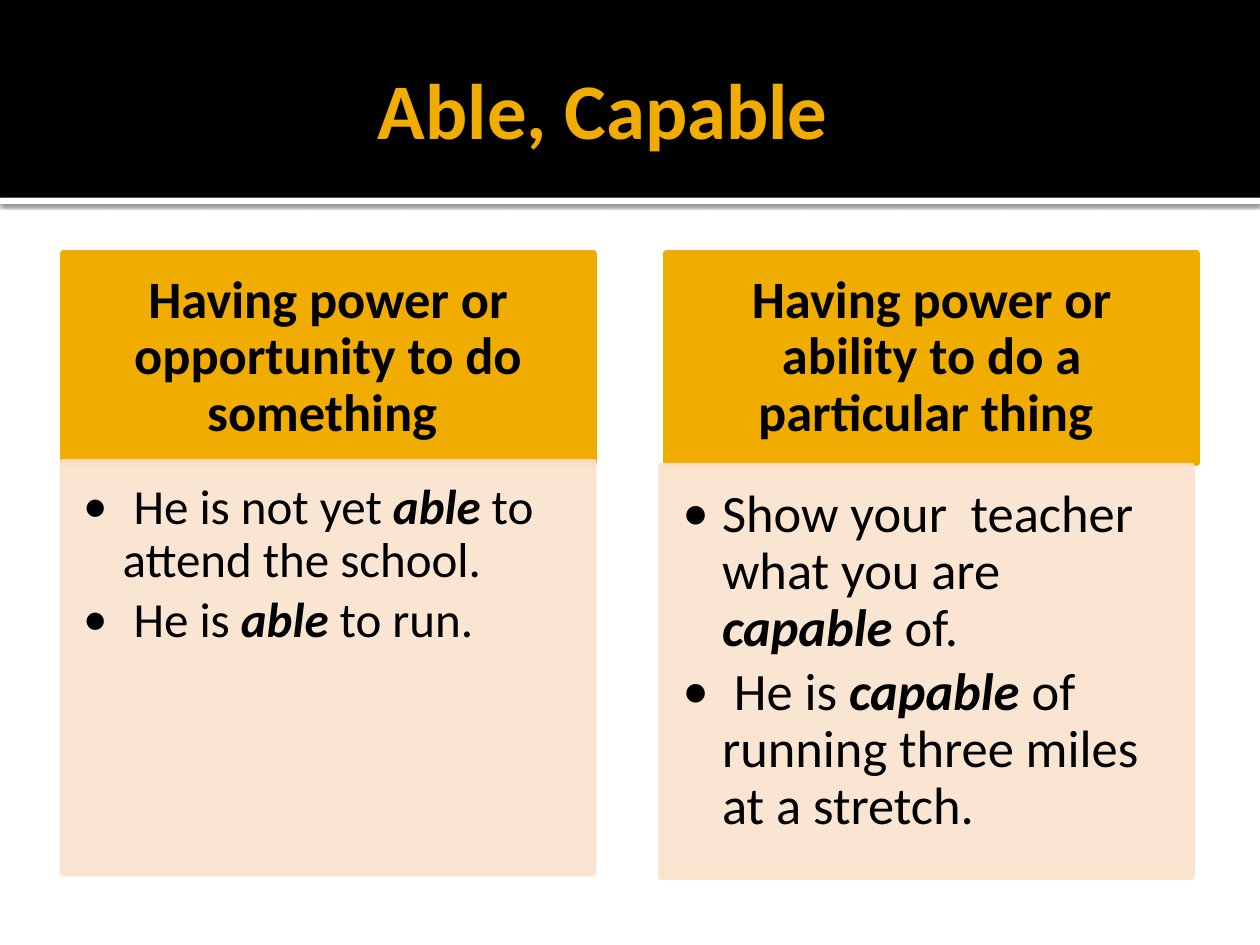
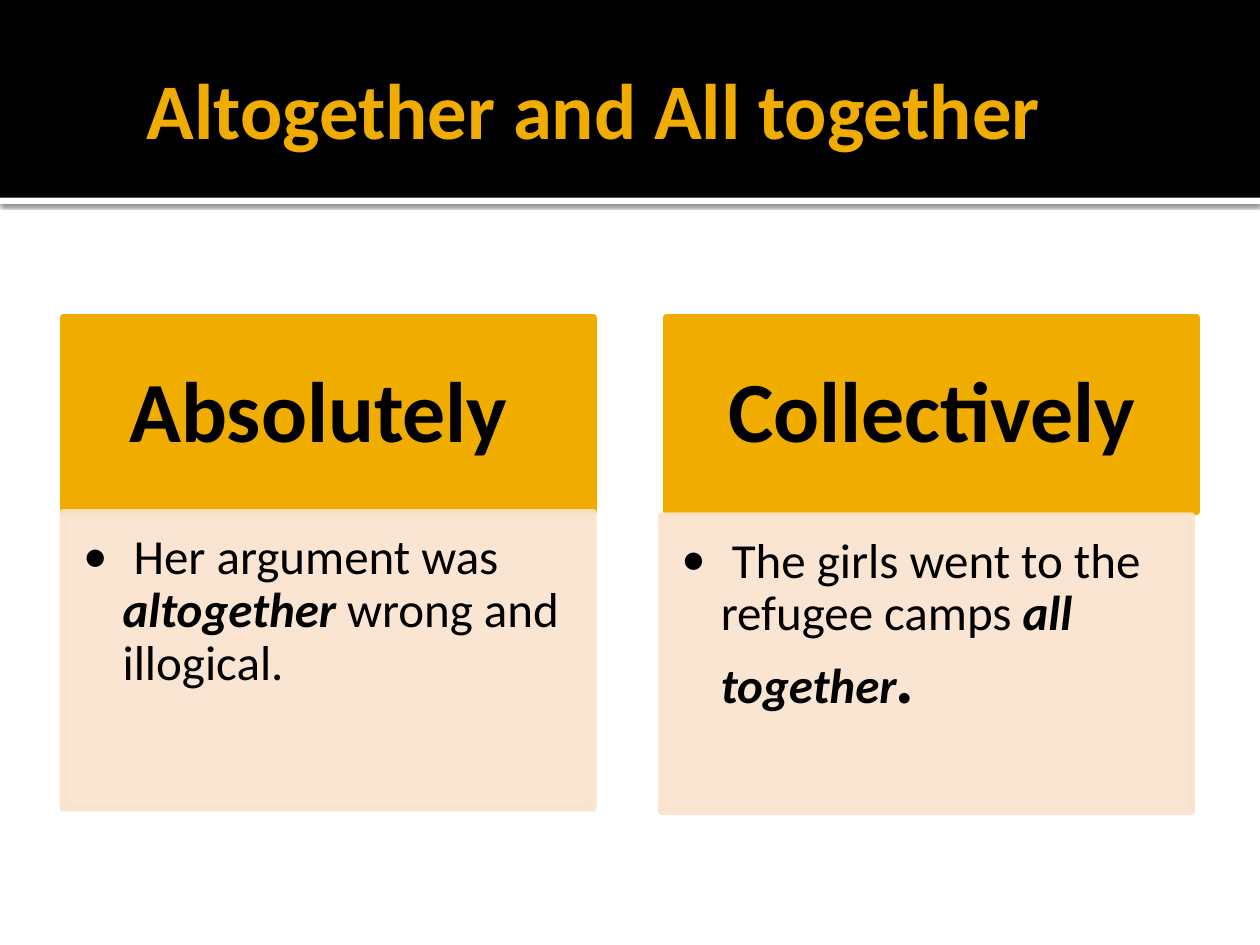
from lxml import etree
from pptx import Presentation
from pptx.dml.color import RGBColor
from pptx.enum.shapes import MSO_SHAPE
from pptx.enum.text import MSO_ANCHOR, PP_ALIGN
from pptx.oxml.ns import qn
from pptx.util import Pt

RECTANGLE = MSO_SHAPE.RECTANGLE
TOP, MIDDLE = MSO_ANCHOR.TOP, MSO_ANCHOR.MIDDLE
LEFT, CENTER = PP_ALIGN.LEFT, PP_ALIGN.CENTER

BLACK = RGBColor(0x00, 0x00, 0x00)
WHITE = RGBColor(0xFF, 0xFF, 0xFF)
GOLD = RGBColor(0xF0, 0xAD, 0x00)
CREAM = RGBColor(0xF9, 0xE3, 0xCC)

FONT = "Calibri"
PAGE_WIDTH, PAGE_HEIGHT = 720, 540
BAND_HEIGHT = 113
CARD_WIDTH = 303.12
CARD_LINE = 3.78
BULLET_INDENT = 22.5
PLAIN = {}
STRONG = {"bold": True, "italic": True}

PAGES = [
    {
        "title": "Able, Capable",
        "title_left": 216,
        "header": {"top": 144.9, "height": 119.3, "size": 30, "insets": (16.5, 9.4, 16.5, 9.4)},
        "body_height": 234.7,
        "cards": [
            {
                "header": "Having power or opportunity to do something ",
                "body_top": 264.2,
                "size": 28,
                "insets": (11.5, 11.5, 15.8, 17.3),
                "bullets": [
                    [(" He is not yet", PLAIN), (" able ", STRONG), ("to attend the school.", PLAIN)],
                    [(" He is", PLAIN), (" able ", STRONG), ("to run.", PLAIN)],
                ],
            },
            {
                "header": "Having power or ability to do a particular thing ",
                "body_top": 266.4,
                "size": 30,
                "insets": (12.2, 12.2, 16.5, 18.7),
                "bullets": [
                    [("Show your  teacher what you are ", PLAIN), ("capable", STRONG), (" of.", PLAIN)],
                    [(" He is ", PLAIN), ("capable", STRONG),
                     (" of running three miles at a stretch.", PLAIN)],
                ],
            },
        ],
    },
    {
        "title": "Altogether and All together",
        "title_left": 83.9,
        "header": {"top": 181.5, "height": 111, "size": 49, "insets": (27.4, 15.8, 27.4, 15.8)},
        "body_height": 169.2,
        "cards": [
            {
                "header": "Absolutely ",
                "body_top": 292.8,
                "size": 28,
                "insets": (11.5, 11.5, 15.8, 17.3),
                "bullets": [
                    [(" Her argument was ", PLAIN), ("altogether", STRONG),
                     (" wrong and illogical.", PLAIN)],
                ],
            },
            {
                "header": "Collectively",
                "body_top": 294.6,
                "size": 28,
                "insets": (11.5, 11.5, 15.8, 17.3),
                "bullets": [
                    [(" The girls went to the refugee camps ", PLAIN), ("all together", STRONG),
                     (".", {**STRONG, "size": Pt(41)})],
                ],
            },
        ],
    },
]
HEADER_LEFTS = (36, 380.88)
BODY_LEFTS = (36, 377.9)


class SlideBuilder:
    def __init__(self):
        self.deck = Presentation()
        self.deck.slide_width, self.deck.slide_height = Pt(PAGE_WIDTH), Pt(PAGE_HEIGHT)
        self.page = None

    def add_page(self):
        self.page = self.deck.slides.add_slide(self.deck.slide_layouts[6])
        strip = self.add_box(0, BAND_HEIGHT, PAGE_WIDTH, 3.6, WHITE)
        self.add_shadow(strip)
        self.add_box(0, 0, PAGE_WIDTH, BAND_HEIGHT, BLACK)

    def add_box(self, left, top, width, height, color, line_width=0, opacity=100):
        box = self.page.shapes.add_shape(RECTANGLE, Pt(left), Pt(top), Pt(width), Pt(height))
        box.shadow.inherit = False
        box.fill.solid()
        box.fill.fore_color.rgb = color
        if line_width:
            box.line.width = Pt(line_width)
            box.line.color.rgb = color
        else:
            box.line.fill.background()
        if opacity < 100:
            for tint in box.element.spPr.iter(qn("a:srgbClr")):
                etree.SubElement(tint, qn("a:alpha"), val=str(opacity * 1000))
        return box

    def add_shadow(self, box):
        effects = box.element.spPr.find(qn("a:effectLst"))
        shadow = etree.SubElement(effects, qn("a:outerShdw"), blurRad=str(Pt(2.5)),
                                  dist=str(Pt(0.8)), dir="5400000", rotWithShape="0")
        tint = etree.SubElement(shadow, qn("a:srgbClr"), val=str(BLACK))
        etree.SubElement(tint, qn("a:alpha"), val="60000")

    def set_frame(self, box, insets, anchor):
        frame = box.text_frame
        sides = ("margin_left", "margin_top", "margin_right", "margin_bottom")
        settings = {side: Pt(inset) for side, inset in zip(sides, insets)}
        settings.update(word_wrap=True, vertical_anchor=anchor)
        for name, value in settings.items():
            setattr(frame, name, value)
        return frame

    def add_span(self, para, text, points, color, changes):
        span = para.add_run()
        span.text = text
        span.font.color.rgb = color
        settings = {"name": FONT, "size": Pt(points), "bold": False, "italic": False, **changes}
        for name, value in settings.items():
            setattr(span.font, name, value)

    def add_title(self, text, text_left):
        box = self.page.shapes.add_textbox(Pt(36), Pt(12.3), Pt(648), Pt(98.5))
        frame = self.set_frame(box, (text_left - 36, 3.6, 3.6, 3.6), MIDDLE)
        self.add_span(frame.paragraphs[0], text, 45, GOLD, {"bold": True})

    def add_header(self, text, left, top, height, size, insets):
        box = self.add_box(left, top, CARD_WIDTH, height, GOLD, CARD_LINE)
        para = self.set_frame(box, insets, MIDDLE).paragraphs[0]
        para.alignment = CENTER
        para.line_spacing = 0.9
        self.add_span(para, text, size, BLACK, {"bold": True})

    def add_bullets(self, bullets, left, top, height, size, insets):
        box = self.add_box(left, top, CARD_WIDTH, height, CREAM, CARD_LINE, 90)
        frame = self.set_frame(box, insets, TOP)
        for index, spans in enumerate(bullets):
            para = frame.add_paragraph() if index else frame.paragraphs[0]
            properties = para._p.get_or_add_pPr()
            properties.set("marL", str(Pt(BULLET_INDENT)))
            properties.set("indent", str(-Pt(BULLET_INDENT)))
            etree.SubElement(properties, qn("a:buFont"), typeface=FONT)
            etree.SubElement(properties, qn("a:buChar"), char="•")
            para.alignment = LEFT
            para.line_spacing = 0.9
            para.space_after = Pt(size * 0.15)
            for text, changes in spans:
                self.add_span(para, text, size, BLACK, changes)


def main():
    builder = SlideBuilder()
    for page in PAGES:
        builder.add_page()
        builder.add_title(page["title"], page["title_left"])
        for card, header_left, body_left in zip(page["cards"], HEADER_LEFTS, BODY_LEFTS):
            builder.add_header(card["header"], header_left, **page["header"])
            builder.add_bullets(card["bullets"], body_left, card["body_top"],
                                page["body_height"], card["size"], card["insets"])
    builder.deck.save("out.pptx")


if __name__ == "__main__":
    main()
